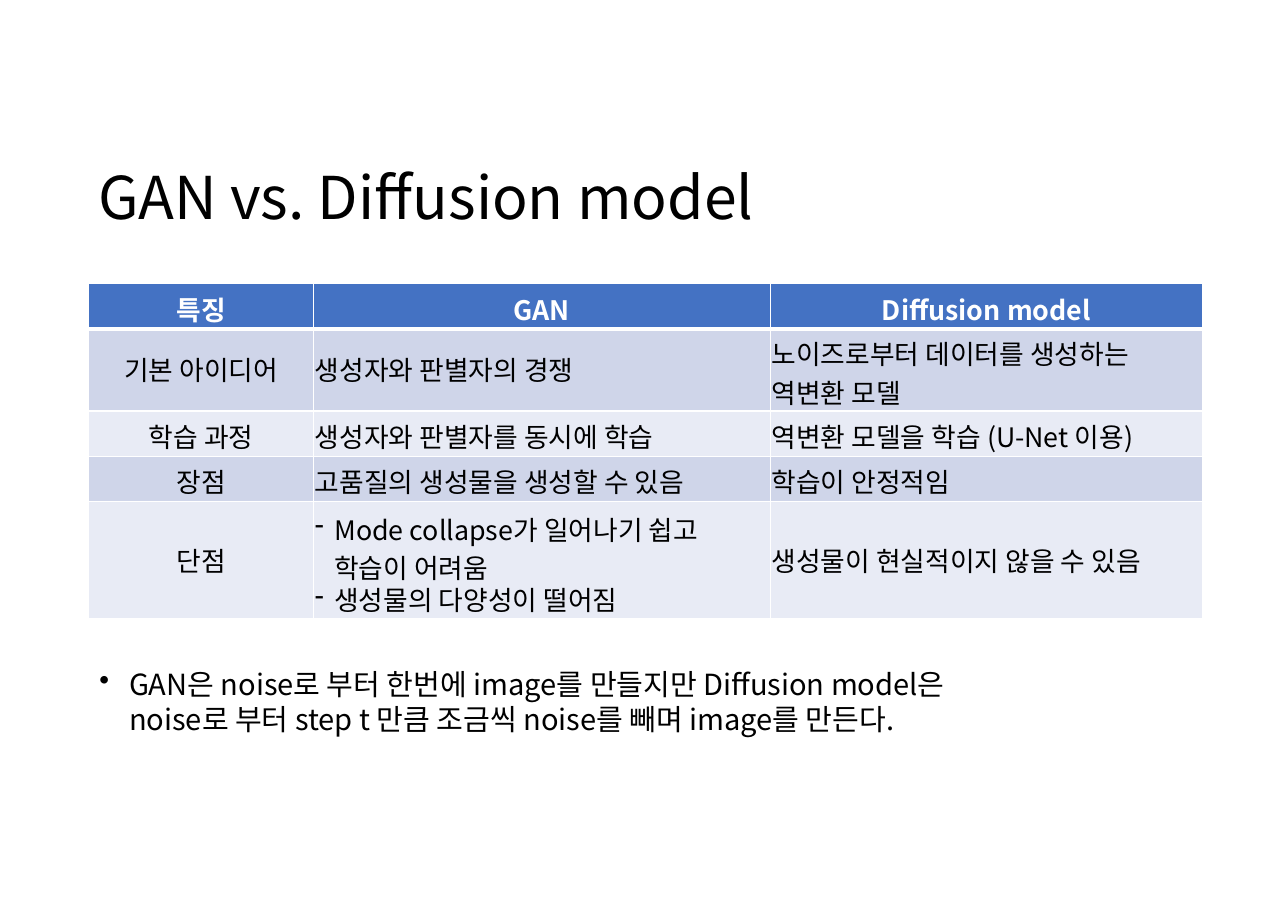
import pptx
import pptx.dml.color
import pptx.enum.text
import pptx.oxml.ns
import pptx.util
from lxml import etree

Pt = pptx.util.Pt
RGB = pptx.dml.color.RGBColor
ALIGN = pptx.enum.text.PP_ALIGN
TOP = pptx.enum.text.MSO_ANCHOR.TOP
qn = pptx.oxml.ns.qn

BLACK = RGB(0x00, 0x00, 0x00)
WHITE = RGB(0xFF, 0xFF, 0xFF)
HEADER = RGB(0x44, 0x72, 0xC3)
BAND_DARK = RGB(0xCF, 0xD5, 0xE9)
BAND_LIGHT = RGB(0xE8, 0xEB, 0xF5)
FONT = "Noto Sans CJK KR"


def add_run(p, text, size, color=BLACK, bold=False):
    r = p.add_run()
    r.text = text
    r.font.size = Pt(size)
    r.font.name = FONT
    r.font.bold = bold
    r.font.color.rgb = color
    etree.SubElement(r.font._element, qn("a:ea"), typeface=FONT)


def add_bullet(p, char, indent, hanging):
    pPr = p._p.get_or_add_pPr()
    pPr.set("marL", str(Pt(indent)))
    pPr.set("indent", str(-Pt(hanging)))
    etree.SubElement(pPr, qn("a:buChar"), char=char)


prs = pptx.Presentation()
prs.slide_width, prs.slide_height = Pt(841), Pt(594.7)
s = prs.slides.add_slide(prs.slide_layouts[5])

# Title
title = s.shapes.title
title.left, title.top, title.width, title.height = Pt(64), Pt(82.8), Pt(735), Pt(81.4)
tf = title.text_frame
tf.vertical_anchor = TOP
tf.margin_left = tf.margin_right = tf.margin_bottom = 0
tf.margin_top = Pt(22.3)
tf.paragraphs[0].alignment = ALIGN.LEFT
add_run(tf.paragraphs[0], "GAN vs. Diffusion model", 38.5)

# Comparison table: a list in a cell is a dashed list
rows = [
    ["특징", "GAN", "Diffusion model"],
    ["기본 아이디어", "생성자와 판별자의 경쟁", "노이즈로부터 데이터를 생성하는 역변환 모델"],
    ["학습 과정", "생성자와 판별자를 동시에 학습", "역변환 모델을 학습 (U-Net 이용)"],
    ["장점", "고품질의 생성물을 생성할 수 있음", "학습이 안정적임"],
    ["단점", ["Mode collapse가 일어나기 쉽고 학습이 어려움", "생성물의 다양성이 떨어짐"],
     "생성물이 현실적이지 않을 수 있음"],
]
col_widths = [146.9, 298.1, 282.6]
row_heights = [29.5, 49.7, 29.5, 29.5, 74.2]
top_margins = [3.6, 13.8, 3.6, 3.6, 25.3]
special_margins = {(1, 2): 3, (4, 1): 5}

frame = s.shapes.add_table(len(rows), len(col_widths), Pt(57.9), Pt(185.2),
                           Pt(sum(col_widths)), Pt(sum(row_heights)))
table = frame.table
for column, width in zip(table.columns, col_widths):
    column.width = Pt(width)
for row, height in zip(table.rows, row_heights):
    row.height = Pt(height)

for i, row in enumerate(rows):
    fill = HEADER if i == 0 else BAND_DARK if i % 2 else BAND_LIGHT
    for j, content in enumerate(row):
        cell = table.cell(i, j)
        centered = i == 0 or j == 0
        cell.vertical_anchor = TOP
        cell.margin_left = 0 if centered else Pt(0.9)
        cell.margin_right = 0 if centered else Pt(8)
        cell.margin_top = Pt(special_margins.get((i, j), top_margins[i]))
        cell.margin_bottom = 0

        tf = cell.text_frame
        items = content if isinstance(content, list) else [content]
        for k, text in enumerate(items):
            p = tf.add_paragraph() if k else tf.paragraphs[0]
            p.alignment = ALIGN.CENTER if centered else ALIGN.LEFT
            if items is content:
                add_bullet(p, "-", 12.6, 12.6)
            if k:
                p.line_spacing = Pt(21)
            add_run(p, text, 17.5, WHITE if i == 0 else BLACK, bold=i == 0)

        tcPr = cell._tc.get_or_add_tcPr()
        for side in ("L", "R", "T", "B"):
            thick = (i, side) in ((0, "B"), (1, "T"))
            ln = etree.SubElement(tcPr, qn(f"a:ln{side}"), w=str(Pt(3 if thick else 1)))
            solid = etree.SubElement(ln, qn("a:solidFill"))
            etree.SubElement(solid, qn("a:srgbClr"), val=str(WHITE))
        cell.fill.solid()
        cell.fill.fore_color.rgb = fill

# Summary
summary = s.shapes.add_textbox(Pt(63.4), Pt(434.2), Pt(593.3), Pt(48.2))
tf = summary.text_frame
tf.word_wrap = True
tf.margin_left = tf.margin_right = tf.margin_bottom = 0
tf.margin_top = Pt(0.7)
p = tf.paragraphs[0]
add_bullet(p, "•", 20.9, 19.4)
add_run(p, "GAN은 noise로 부터 한번에 image를 만들지만 Diffusion model은 "
           "noise로 부터 step t 만큼 조금씩 noise를 빼며 image를 만든다.", 19)

prs.save("out.pptx")
